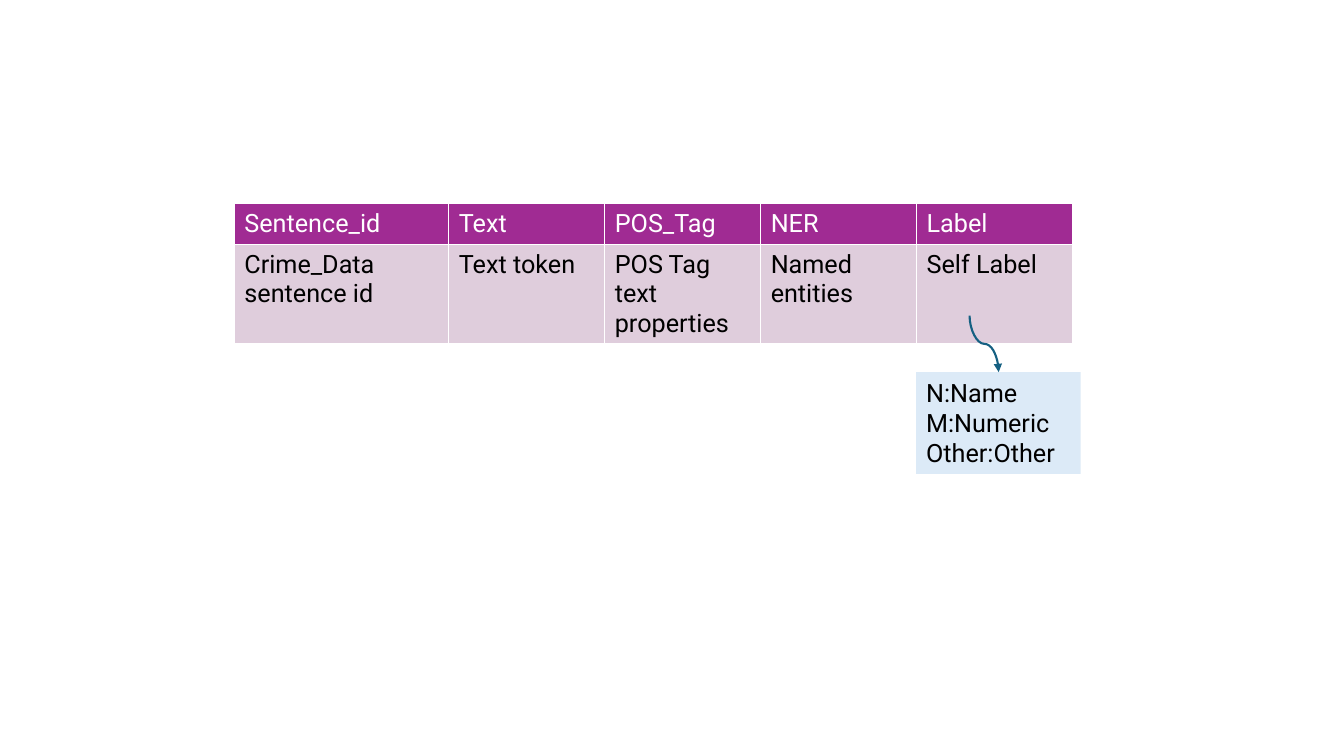
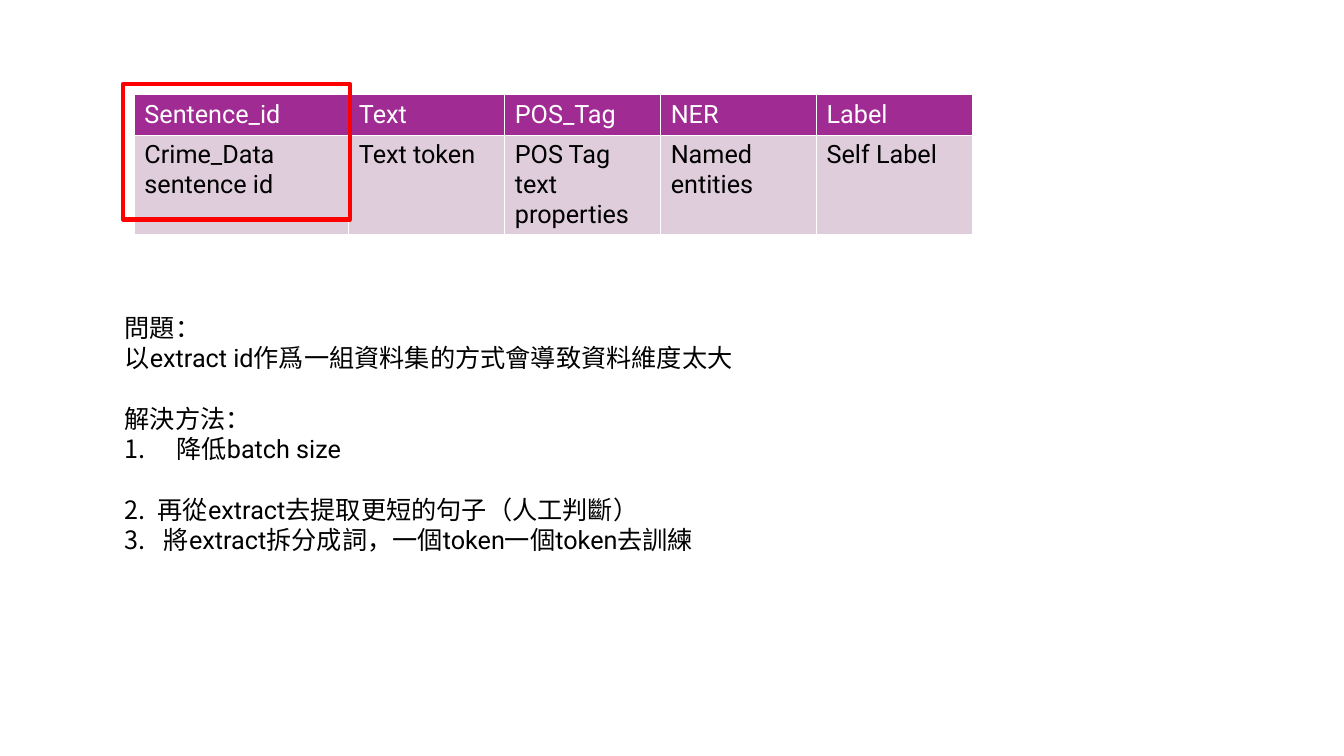
from lxml import etree
from pptx import Presentation
from pptx.dml.color import RGBColor
from pptx.enum.shapes import MSO_CONNECTOR as CONNECTOR, MSO_SHAPE as SHAPE
from pptx.enum.text import MSO_ANCHOR as ANCHOR, PP_ALIGN as ALIGN
from pptx.oxml.ns import qn
from pptx.util import Pt

# Shared look
PURPLE, PINK, PALE_BLUE = "A02B93", "DFCDDC", "DCEAF7"
TEAL, RED, WHITE, BLACK = "156082", "FF0000", "FFFFFF", "000000"
TEXT_FORMAT = {"name": "Roboto", "size": Pt(18), "bold": False}
LINE_GAP = Pt(21.6)

# Shared table
TABLE_ROWS = [
    (PURPLE, WHITE, 29.2, ["Sentence_id", "Text", "POS_Tag", "NER", "Label"]),
    (PINK, BLACK, 71, ["Crime_Data sentence id", "Text token",
                       "POS Tag text properties", "Named\nentities", "Self Label"]),
]
COLUMN_WIDTHS = [153.2] + [111.4] * 4


def paint(color_owner, color):
    """Colour a fill, or the solid fill behind a font or line."""
    fill = color_owner if hasattr(color_owner, "fore_color") else color_owner.fill
    fill.solid()
    fill.fore_color.rgb = RGBColor.from_string(color)


def write(text_frame, text, color=BLACK):
    text_frame.word_wrap = True
    text_frame.text = text
    for paragraph in text_frame.paragraphs:
        paragraph.alignment = ALIGN.LEFT
        for run in paragraph.runs:
            for name, value in TEXT_FORMAT.items():
                setattr(run.font, name, value)
            paint(run.font, color)


presentation = Presentation()
presentation.slide_width, presentation.slide_height = Pt(960), Pt(540)

# Both slides: the column table
slides = []
for left, top in [(167.4, 145.6), (96, 67.6)]:
    slide = presentation.slides.add_slide(presentation.slide_layouts[6])
    slides.append(slide)
    height = sum(row[2] for row in TABLE_ROWS)
    table = slide.shapes.add_table(len(TABLE_ROWS), len(COLUMN_WIDTHS), Pt(left), Pt(top),
                                   Pt(sum(COLUMN_WIDTHS)), Pt(height)).table
    for column, width in zip(table.columns, COLUMN_WIDTHS):
        column.width = Pt(width)
    for row, (fill, color, row_height, texts) in zip(table.rows, TABLE_ROWS):
        row.height = Pt(row_height)
        for cell, text in zip(row.cells, texts):
            paint(cell, fill)
            write(cell.text_frame, text, color)
label_slide, problem_slide = slides

# Slide 1: label values
label_box = label_slide.shapes.add_shape(SHAPE.RECTANGLE, Pt(654.5), Pt(265.8),
                                         Pt(117.4), Pt(72.7))
label_box.shadow.inherit = False
label_box.line.fill.background()
paint(label_box, PALE_BLUE)
label_box.text_frame.vertical_anchor = ANCHOR.TOP
write(label_box.text_frame, "N:Name\nM:Numeric\nOther:Other")

# Slide 1: curved arrow, turned so that it leaves and arrives vertically
arrow = label_slide.shapes.add_connector(CONNECTOR.CURVE, Pt(723.2), Pt(235.2),
                                         Pt(682.8), Pt(256))
arrow.line.width = Pt(1.5)
paint(arrow.line, TEAL)
properties = arrow._element.spPr
properties.find(qn("a:xfrm")).set("rot", str(270 * 60000))
etree.SubElement(properties.find(qn("a:ln")), qn("a:tailEnd"), type="triangle")
etree.SubElement(properties, qn("a:effectLst"))

# Slide 2: frame around the first column
frame = problem_slide.shapes.add_shape(SHAPE.RECTANGLE, Pt(88), Pt(60), Pt(162), Pt(96.8))
frame.shadow.inherit = False
frame.fill.background()
frame.line.width = Pt(3)
paint(frame.line, RED)

# Slide 2: problem and solutions (text, gap before, number indent)
NOTES = [
    ("問題：", False, 0),
    ("以extract id作爲一組資料集的方式會導致資料維度太大", False, 0),
    ("解決方法：", True, 0),
    ("降低batch size", False, 37),
    ("再從extract去提取更短的句子（人工判斷）", True, 23.6),
    ("將extract拆分成詞，一個token一個token去訓練", False, 28),
]
notes_box = problem_slide.shapes.add_textbox(Pt(82), Pt(219.6), Pt(497.6), Pt(181.8))
write(notes_box.text_frame, "\n".join(text for text, _, _ in NOTES))
number = 0
for paragraph, (_, gap, indent) in zip(notes_box.text_frame.paragraphs, NOTES):
    if gap:
        paragraph.space_before = LINE_GAP
    if indent:
        number += 1
        settings = paragraph._p.get_or_add_pPr()
        settings.set("marL", str(Pt(indent)))
        settings.set("indent", str(-Pt(indent)))
        etree.SubElement(settings, qn("a:buFont"), typeface=TEXT_FORMAT["name"])
        etree.SubElement(settings, qn("a:buAutoNum"), type="arabicPeriod", startAt=str(number))

presentation.save("out.pptx")
